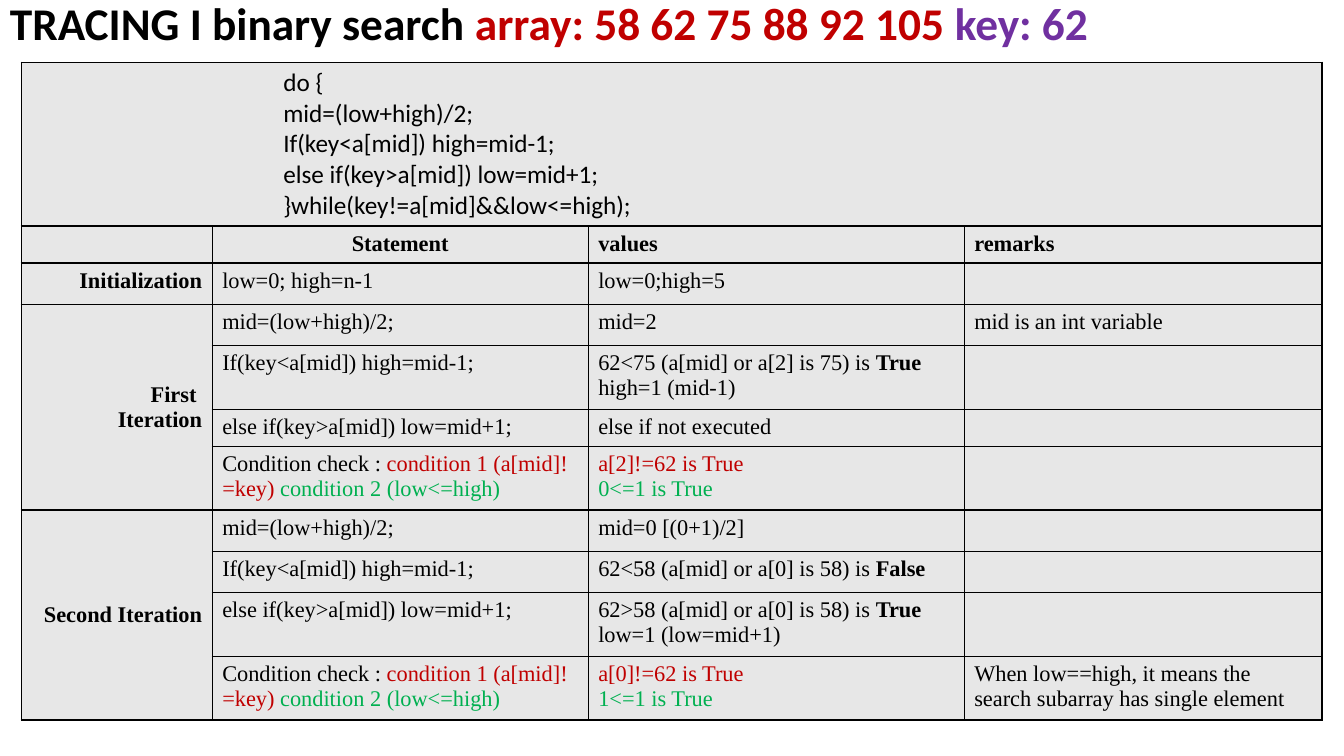
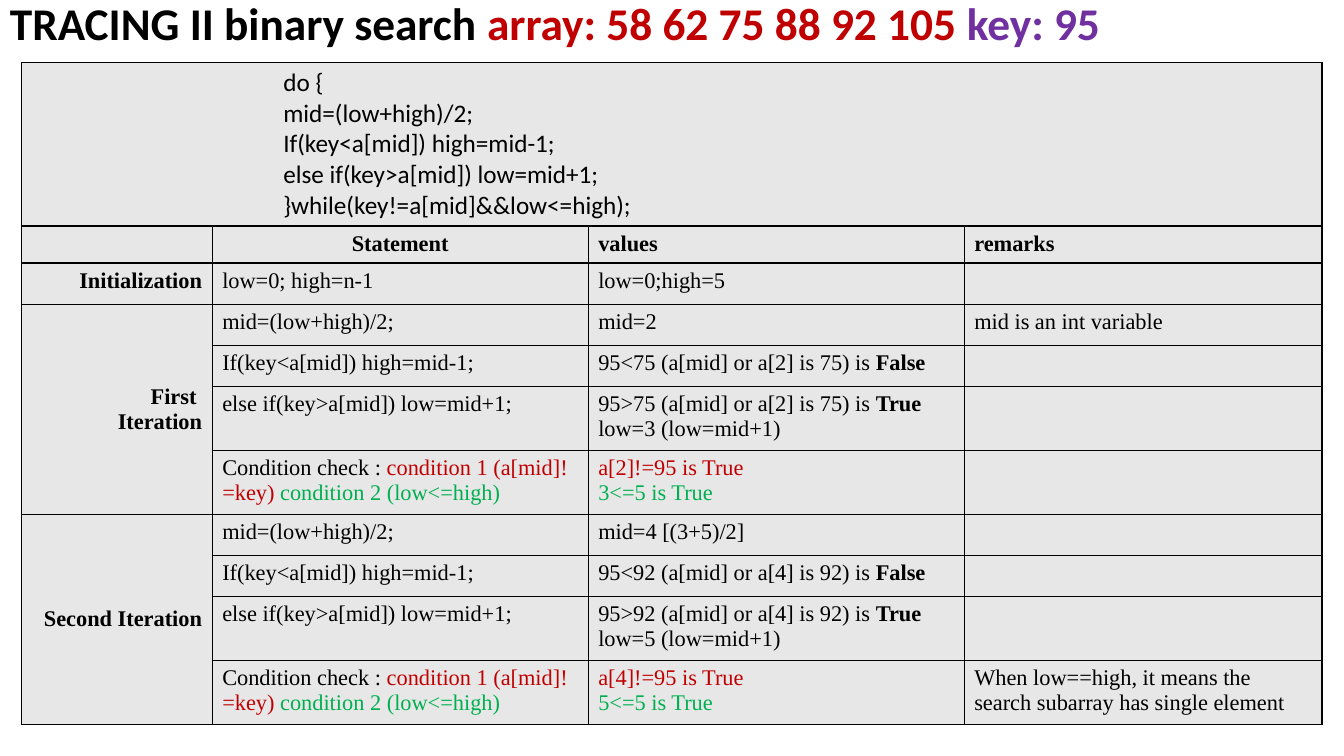
from lxml.etree import SubElement
from pptx import Presentation
from pptx.dml.color import RGBColor
from pptx.enum.text import MSO_ANCHOR, PP_ALIGN
from pptx.oxml.ns import qn
from pptx.util import Pt

BLACK, RED, GREEN, PURPLE, GREY = "000000", "C00000", "00B050", "7030A0", "E7E7E7"
HEADING_FONT, BODY_FONT = "Calibri", "Times New Roman"

COLUMN_WIDTHS = (136.4, 268.6, 268.6, 255.6)
CODE_HEIGHT, COMPACT, ONE_LINE, TWO_LINES = 117, 25, 29.4, 42.8
HEADER_ROW, INIT_ROW, FIRST_STEP_ROW, STEPS = 1, 2, 3, 4
COMPACT_ROWS = (HEADER_ROW, 5)

CODE = ["do {", "mid=(low+high)/2;", "If(key<a[mid]) high=mid-1;",
        "else if(key>a[mid]) low=mid+1;", "}while(key!=a[mid]&&low<=high);"]
CONDITION = [("Condition check : ", BLACK), ("condition 1 (a[mid]!=key) ", RED),
             ("condition 2 (low<=high)", GREEN)]
STATEMENTS = [[line] for line in CODE[1:4]] + [[CONDITION]]
ITERATIONS = (["First ", "Iteration"], ["Second Iteration"])
REMARKS = {FIRST_STEP_ROW: "mid is an int variable",
           FIRST_STEP_ROW + 2 * STEPS - 1:
               "When low==high, it means the search subarray has single element"}


def comparison(text, result):
    return [(text, BLACK), (result, BLACK, True)]


def conditions(first, second):
    return [[(first, RED)], [(second, GREEN)]]


# Each trace: number, key, then the values of the eight steps
TRACES = [
    ("I", 62, [
        ["mid=2"],
        [comparison("62<75 (a[mid] or a[2] is 75) is ", "True"), "high=1 (mid-1)"],
        ["else if not executed"],
        conditions("a[2]!=62 is True", "0<=1 is True"),
        ["mid=0 [(0+1)/2]"],
        [comparison("62<58 (a[mid] or a[0] is 58) is ", "False")],
        [comparison("62>58 (a[mid] or a[0] is 58) is ", "True"), "low=1 (low=mid+1)"],
        conditions("a[0]!=62 is True", "1<=1 is True"),
    ]),
    ("II", 95, [
        ["mid=2"],
        [comparison("95<75 (a[mid] or a[2] is 75) is ", "False")],
        [comparison("95>75 (a[mid] or a[2] is 75) is ", "True"), "low=3 (low=mid+1)"],
        conditions("a[2]!=95 is True", "3<=5 is True"),
        ["mid=4 [(3+5)/2]"],
        [comparison("95<92 (a[mid] or a[4] is 92) is ", "False")],
        [comparison("95>92 (a[mid] or a[4] is 92) is ", "True"), "low=5 (low=mid+1)"],
        conditions("a[4]!=95 is True", "5<=5 is True"),
    ]),
]


def rgb(color):
    return RGBColor.from_string(color)


def write(tf, lines, font=BODY_FONT, size=16, bold=False, align=PP_ALIGN.LEFT, indent=0):
    """Fill a text frame; a line is a string or a list of (text, colour[, bold]) runs."""
    for i, line in enumerate(lines):
        p = tf.add_paragraph() if i else tf.paragraphs[0]
        p.alignment = align
        if indent:
            p._p.get_or_add_pPr().set("marL", str(Pt(indent)))
        p.font.name, p.font.size, p.font.bold = font, Pt(size), bold
        if isinstance(line, str):
            line = [(line, BLACK)] if line else []
        for text, color, *strong in line:
            r = p.add_run()
            r.text = text
            r.font.color.rgb = rgb(color)
            if strong:
                r.font.bold = strong[0]


def style_cell(cell):
    """Give a cell thin black borders and a grey fill."""
    tc_pr = cell._tc.get_or_add_tcPr()
    for side in ("lnL", "lnR", "lnT", "lnB"):
        ln = SubElement(tc_pr, qn(f"a:{side}"), w=str(Pt(1)))
        SubElement(SubElement(ln, qn("a:solidFill")), qn("a:srgbClr"), val=BLACK)
    cell.fill.solid()
    cell.fill.fore_color.rgb = rgb(GREY)


def add_title(s, number, key):
    tf = s.shapes.add_textbox(Pt(0), Pt(1.5), Pt(920), Pt(34)).text_frame
    tf.word_wrap = True
    tf.vertical_anchor = MSO_ANCHOR.MIDDLE
    write(tf, [[(f"TRACING {number} binary search ", BLACK),
                ("array: 58 62 75 88 92 105 ", RED), (f"key: {key}", PURPLE)]],
          HEADING_FONT, 32.4, bold=True)
    tf.paragraphs[0].line_spacing = 0.9


def row_height(row, values):
    if len(values) > 1:
        return TWO_LINES
    return COMPACT if row in COMPACT_ROWS else ONE_LINE


def add_trace_table(s, step_values):
    values = [["values"], ["low=0;high=5"]] + step_values
    heights = [CODE_HEIGHT] + [row_height(i, v) for i, v in enumerate(values, HEADER_ROW)]
    table = s.shapes.add_table(len(heights), len(COLUMN_WIDTHS), Pt(15.2), Pt(44.5),
                               Pt(sum(COLUMN_WIDTHS)), Pt(sum(heights))).table
    table.first_row = table.horz_banding = False
    for column, width in zip(table.columns, COLUMN_WIDTHS):
        column.width = Pt(width)
    for row, height in zip(table.rows, heights):
        row.height = Pt(height)
    for cell in table.iter_cells():
        style_cell(cell)

    table.cell(0, 0).merge(table.cell(0, 3))
    write(table.cell(0, 0).text_frame, CODE, HEADING_FONT, 18, indent=180)

    labels = {HEADER_ROW: [""], INIT_ROW: ["Initialization"]}
    for i, label in enumerate(ITERATIONS):
        top = FIRST_STEP_ROW + i * STEPS
        table.cell(top, 0).merge(table.cell(top + STEPS - 1, 0))
        table.cell(top, 0).vertical_anchor = MSO_ANCHOR.MIDDLE
        labels[top] = label
    for row, label in labels.items():
        write(table.cell(row, 0).text_frame, label, bold=True, align=PP_ALIGN.RIGHT)

    statements = [["Statement"], ["low=0; high=n-1"]] + STATEMENTS * len(ITERATIONS)
    remarks = {HEADER_ROW: "remarks", **REMARKS}
    for row, (statement, value) in enumerate(zip(statements, values), HEADER_ROW):
        header = row == HEADER_ROW
        for column, lines in enumerate((statement, value, [remarks.get(row, "")]), 1):
            centred = header and column == 1
            write(table.cell(row, column).text_frame, lines, bold=header,
                  align=PP_ALIGN.CENTER if centred else PP_ALIGN.LEFT)


def main():
    prs = Presentation()
    prs.slide_width, prs.slide_height = Pt(960), Pt(540)
    for number, key, step_values in TRACES:
        s = prs.slides.add_slide(prs.slide_layouts[6])
        add_title(s, number, key)
        add_trace_table(s, step_values)
    prs.save("out.pptx")


if __name__ == "__main__":
    main()
